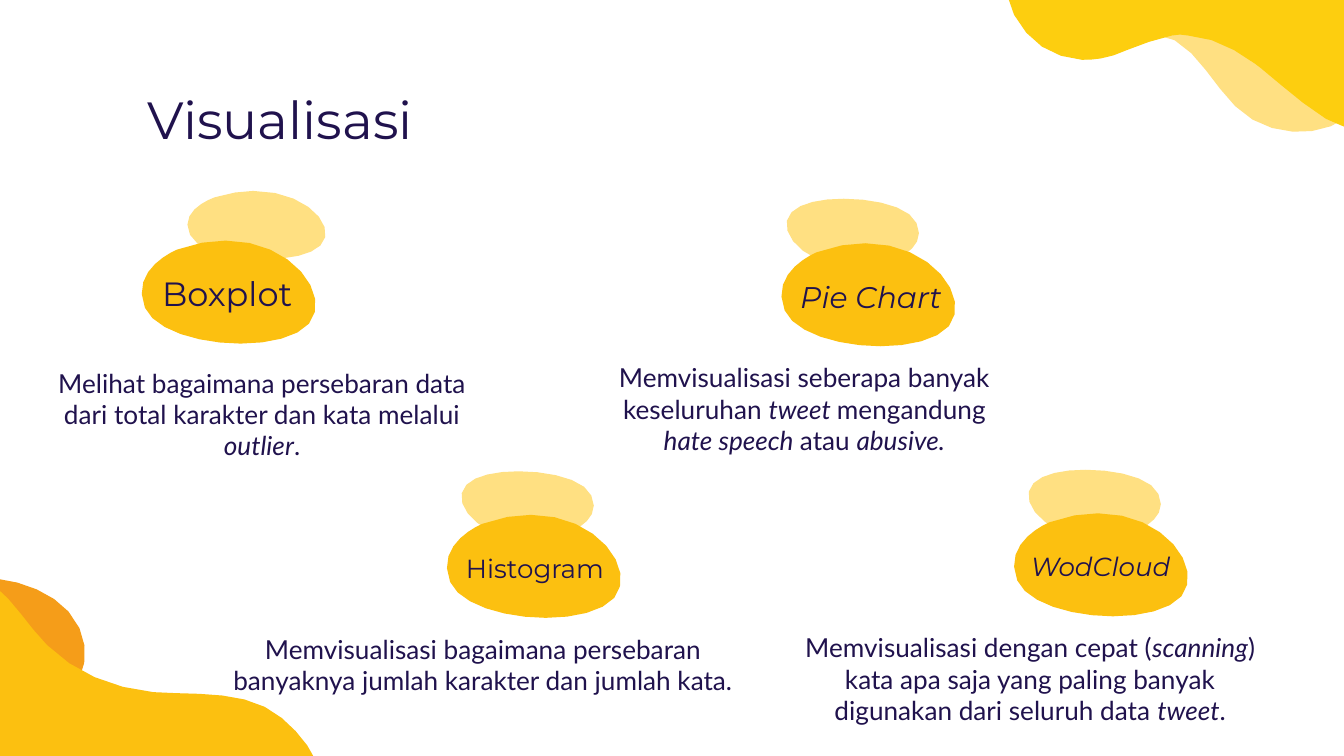
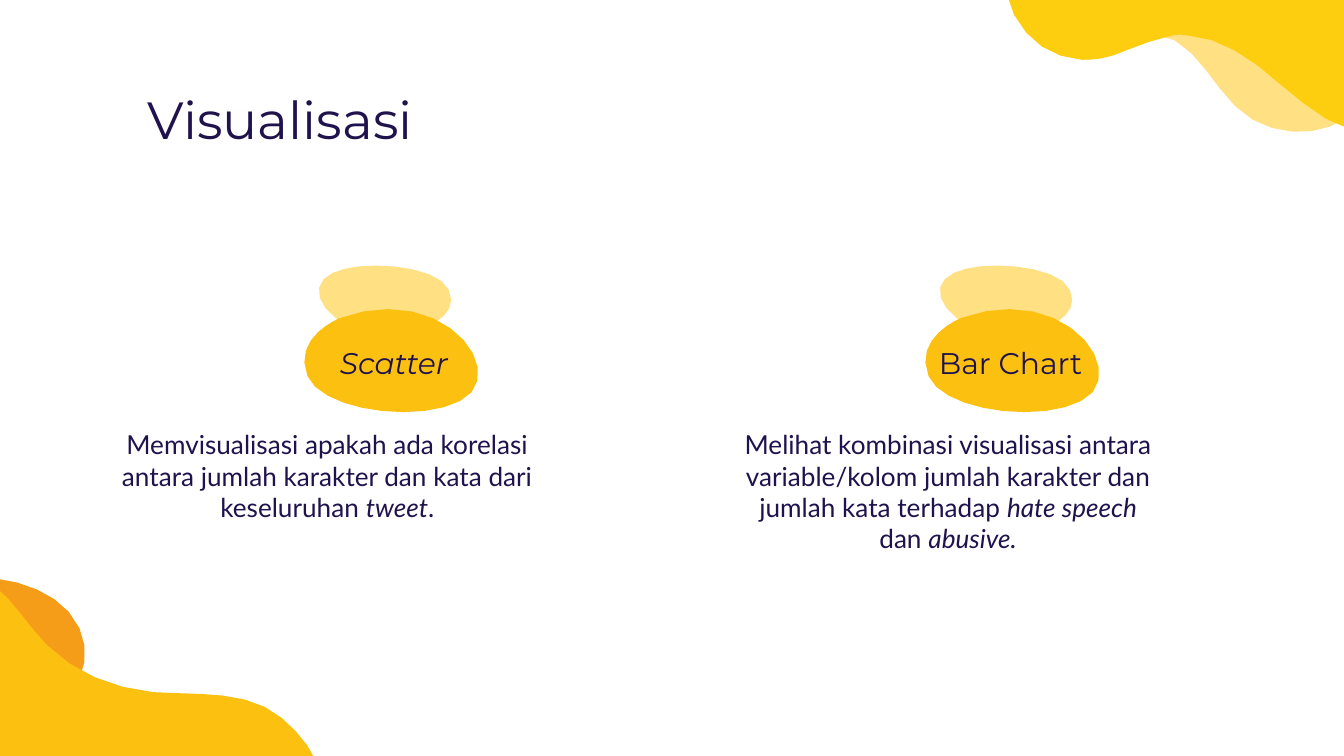
"""Build the two Visualisasi slides: blob-badged cards between wavy corners."""
import math
from dataclasses import dataclass

from pptx import Presentation
from pptx import util as u
from pptx.dml.color import RGBColor
from pptx.enum import text as t
from pptx.slide import Slide
from pptx.text.text import TextFrame

Point = tuple[float, float]
Contour = list[Point]


@dataclass(frozen=True)
class Theme:
    """Colours, fonts and type sizes of the deck."""

    ink: str = "20124D"
    amber: str = "FCC010"
    gold: str = "FDCE0F"
    pale: str = "FFE082"
    orange: str = "F59D19"
    heading: str = "Montserrat"
    body: str = "Lato"
    title_size: float = 28
    body_size: float = 14
    inset: float = 7.2


@dataclass(frozen=True)
class Box:
    """A rectangle in points."""

    left: float
    top: float
    width: float
    height: float


@dataclass(frozen=True)
class Wave:
    """A corner outline with its colour."""

    outline: str
    color: str
    lined: bool = False


@dataclass(frozen=True)
class Card:
    """A badge with its label and the text below; asterisks mark italics."""

    label: str
    label_size: float
    badge: Point
    label_shift: float
    text: str
    text_box: Box
    cap_shift: Point = (7.9, -23.3)
    turned_cap: bool = False


THEME = Theme()
SLIDE = (720, 405)
TITLE_BOX = Box(72, 39.6, 576, 43.2)
LABEL_SIZE = (108, 21.6)
LABEL_DROP = 17.6
CAP_SIZE = (82.8, 36.5)
TURNED_CAP_WIDTH = 86.4
CURVE_TOLERANCE = 0.5

BADGE = """M 51.8,0 C 43.9,0 35,1.4 25.9,4.8 C 25.9,4.8 0,15 8.6,36
    C 13.7,48 37.6,55.2 59.8,55.2 C 75.6,55.2 90,51.8 96.5,44.5
    C 108.7,29.5 87.8,0 51.8,0"""
CAP = """M 43.9,36.5 C 49.7,36.5 56.2,35.3 63.4,33.1
    C 63.4,33.1 82.8,26.6 76.3,13 C 72.7,4.3 54,0 37.4,0
    C 25.2,0 14.4,2.2 9.4,7.2 C 0,16.6 15.8,36.5 43.9,36.5"""

WAVES = [
    Wave("""M -41.8,324.7 C -33.1,303.1 16.6,305.3 36.7,327.6
        C 46.8,339.1 47.5,352.8 42.5,363.6 C 38.2,375.8 27.4,383.8 15.8,383
        C -5,381.6 -50.4,354.2 -42.5,326.2""", THEME.orange),
    Wave("""M -12.2,308.2 C 4.3,315.4 12.2,332.6 25.2,345.6
        C 39.6,360 59.8,368.6 82.1,370.8 C 102.2,372.2 124.6,370.1 141.8,378.7
        C 148.3,382.3 154.1,386.6 158.4,391.7 C 162.7,396.7 167,401.8 169.2,407.5
        C 171.4,412.6 172.1,417.6 172.1,422.6 L 20.2,489.6 L -51.8,324.7""",
         THEME.amber),
    Wave("""M 692.6,70.6 C 702.7,71.3 713.5,69.1 722.2,62.6
        C 738.7,52.6 751,31.7 754.6,8.6 L 574.6,-4.3
        C 575.3,-0.7 576.7,2.9 578.9,5 C 584.6,13.7 594,15.8 603.4,17.3
        C 612,18 620.6,18 629.3,21.6 C 642.2,28.8 650.2,45.4 661.7,56.9
        C 670.3,65.5 681.1,69.8 692.6,70.6""", THEME.pale),
    Wave("""M 579.6,31.7 C 568.1,31 557.3,25.9 550.1,17.3
        C 542.2,8.6 538.6,-2.9 538.6,-14.4 L 588.2,-10.8 L 763.9,2.2
        C 763.9,18 761.8,34.6 756,49.7 C 752.4,56.9 748.1,64.1 741.6,67.7
        C 737.3,69.1 733.7,69.8 729.4,69.8 C 722.9,69.1 716.4,66.2 710.6,63.4
        C 697.7,55.4 686.9,45.4 675.4,36 L 672.5,33.8
        C 661.7,25.9 649.4,19.4 636.5,18.7 C 633.6,18 630.7,18 627.8,18.7
        C 619.2,20.2 611.3,23.8 603.4,26.6 C 599,28.8 594,30.2 589.7,31
        C 586.1,31.7 582.5,31.7 579.6,31.7""", THEME.gold, True),
]

PAGES = [
    [
        Card("Boxplot", 18, (69.1, 128.9), -1.4,
             "Melihat bagaimana persebaran data dari total karakter dan kata "
             "melalui *outlier*.",
             Box(23.8, 189.4, 233.3, 54.7), (25.9, -26.6), True),
        Card("*Pie Chart*", 16, (411.8, 130.3), 0.8,
             "Memvisualisasi seberapa banyak keseluruhan *tweet *mengandung "
             "*hate speech *atau *abusive.*",
             Box(312.5, 186.5, 236.9, 54.7), (2.9, -23.8)),
        Card("Histogram", 14, (232.6, 275.8), 0,
             "Memvisualisasi bagaimana persebaran banyaknya jumlah karakter "
             "dan jumlah kata*.*",
             Box(116.6, 331.9, 284.4, 54.7)),
        Card("*WodCloud*", 14, (536.4, 275), -0.7,
             "Memvisualisasi dengan cepat (*scanning*) kata apa saja yang "
             "paling banyak digunakan dari seluruh data *tweet*.",
             Box(412.6, 331.2, 278.6, 54.7)),
    ],
    [
        Card("*Scatter*", 16, (156.2, 165.6), 0.8,
             "Memvisualisasi apakah ada korelasi antara jumlah karakter dan "
             "kata dari keseluruhan *tweet*.",
             Box(56.9, 222.5, 236.9, 69.1)),
        Card("Bar Chart", 16, (488.9, 165.6), -1.5,
             "Melihat kombinasi visualisasi antara variable/kolom jumlah "
             "karakter dan jumlah kata terhadap *hate speech *dan *abusive.*",
             Box(389.5, 222.5, 236.9, 98.6)),
    ],
]


def curve(start: Point, first: Point, second: Point, end: Point) -> Contour:
    """Return just enough points along a cubic curve, without its start."""
    corners = (start, first, second, end)
    bend = max(math.hypot(p[0] - 2 * q[0] + r[0], p[1] - 2 * q[1] + r[1])
               for p, q, r in zip(corners, corners[1:], corners[2:]))
    steps = max(1, math.ceil(math.sqrt(0.75 * bend / CURVE_TOLERANCE)))
    points = []
    for step in range(1, steps + 1):
        b = step / steps
        a = 1 - b
        weights = (a ** 3, 3 * a * a * b, 3 * a * b * b, b ** 3)
        points.append((sum(w * c[0] for w, c in zip(weights, corners)),
                       sum(w * c[1] for w, c in zip(weights, corners))))
    return points


def trace(outline: str) -> Contour:
    """Turn an outline of M, L and C commands into points."""
    contour: Contour = []
    pending: Contour = []
    command = ""
    for word in outline.split():
        if word in "MLC":
            command = word
            continue
        x, y = word.split(",")
        point = (float(x), float(y))
        if command != "C":
            contour.append(point)
            continue
        pending.append(point)
        if len(pending) == 3:
            contour.extend(curve(contour[-1], *pending))
            pending = []
    return contour


def draw_outline(page: Slide, contour: Contour, color: str,
                 origin: Point = (0, 0), lined: bool = False) -> None:
    """Draw a filled outline moved to the origin."""
    placed = [(u.Pt(origin[0] + x), u.Pt(origin[1] + y)) for x, y in contour]
    builder = page.shapes.build_freeform(*placed[0])
    builder.add_line_segments(placed[1:], close=True)
    shape = builder.convert_to_shape()
    shape.shadow.inherit = False
    shape.fill.solid()
    shape.fill.fore_color.rgb = RGBColor.from_string(color)
    if lined:
        shape.line.color.rgb = RGBColor.from_string(color)
        shape.line.width = u.Pt(0.75)
    else:
        shape.line.fill.background()


def write(frame: TextFrame, content: str, font: str, size: float,
          align: t.PP_ALIGN, anchor: t.MSO_ANCHOR) -> None:
    """Write one paragraph run by run, italic between asterisks."""
    frame.word_wrap = True
    frame.auto_size = t.MSO_AUTO_SIZE.NONE
    frame.vertical_anchor = anchor
    frame.margin_left = frame.margin_right = u.Pt(THEME.inset)
    frame.margin_top = frame.margin_bottom = u.Pt(THEME.inset)
    para = frame.paragraphs[0]
    para.alignment = align
    for index, piece in enumerate(content.split("*")):
        if piece:
            span = para.add_run()
            span.text = piece
            span.font.name = font
            span.font.size = u.Pt(size)
            span.font.bold = False
            span.font.italic = index % 2 == 1
            span.font.color.rgb = RGBColor.from_string(THEME.ink)


def add_text(page: Slide, box: Box, content: str, font: str, size: float,
             anchor: t.MSO_ANCHOR) -> None:
    """Add a centred text box."""
    shape = page.shapes.add_textbox(u.Pt(box.left), u.Pt(box.top),
                                    u.Pt(box.width), u.Pt(box.height))
    write(shape.text_frame, content, font, size, t.PP_ALIGN.CENTER, anchor)


def draw_card(page: Slide, card: Card) -> None:
    """Draw the cap, the badge, its label and the text."""
    left, top = card.badge
    cap = trace(CAP)
    if card.turned_cap:
        width, height = CAP_SIZE
        cap = [(TURNED_CAP_WIDTH * (1 - x / width), height - y) for x, y in cap]
    cap_origin = (left + card.cap_shift[0], top + card.cap_shift[1])
    draw_outline(page, cap, THEME.pale, cap_origin)
    draw_outline(page, trace(BADGE), THEME.amber, card.badge)
    label_box = Box(left + card.label_shift, top + LABEL_DROP, *LABEL_SIZE)
    add_text(page, label_box, card.label, THEME.heading, card.label_size,
             t.MSO_ANCHOR.MIDDLE)
    add_text(page, card.text_box, card.text, THEME.body, THEME.body_size,
             t.MSO_ANCHOR.TOP)


def set_title(page: Slide, content: str) -> None:
    """Place and fill the title placeholder."""
    title = page.shapes.title
    title.left, title.top = u.Pt(TITLE_BOX.left), u.Pt(TITLE_BOX.top)
    title.width, title.height = u.Pt(TITLE_BOX.width), u.Pt(TITLE_BOX.height)
    write(title.text_frame, content, THEME.heading, THEME.title_size,
          t.PP_ALIGN.LEFT, t.MSO_ANCHOR.TOP)


def main() -> None:
    """Build and save the deck."""
    deck = Presentation()
    deck.slide_width, deck.slide_height = (u.Pt(side) for side in SLIDE)
    for cards in PAGES:
        page = deck.slides.add_slide(deck.slide_layouts[5])
        for wave in WAVES:
            draw_outline(page, trace(wave.outline), wave.color, lined=wave.lined)
        set_title(page, "Visualisasi")
        for card in cards:
            draw_card(page, card)
    deck.save("out.pptx")


if __name__ == "__main__":
    main()
